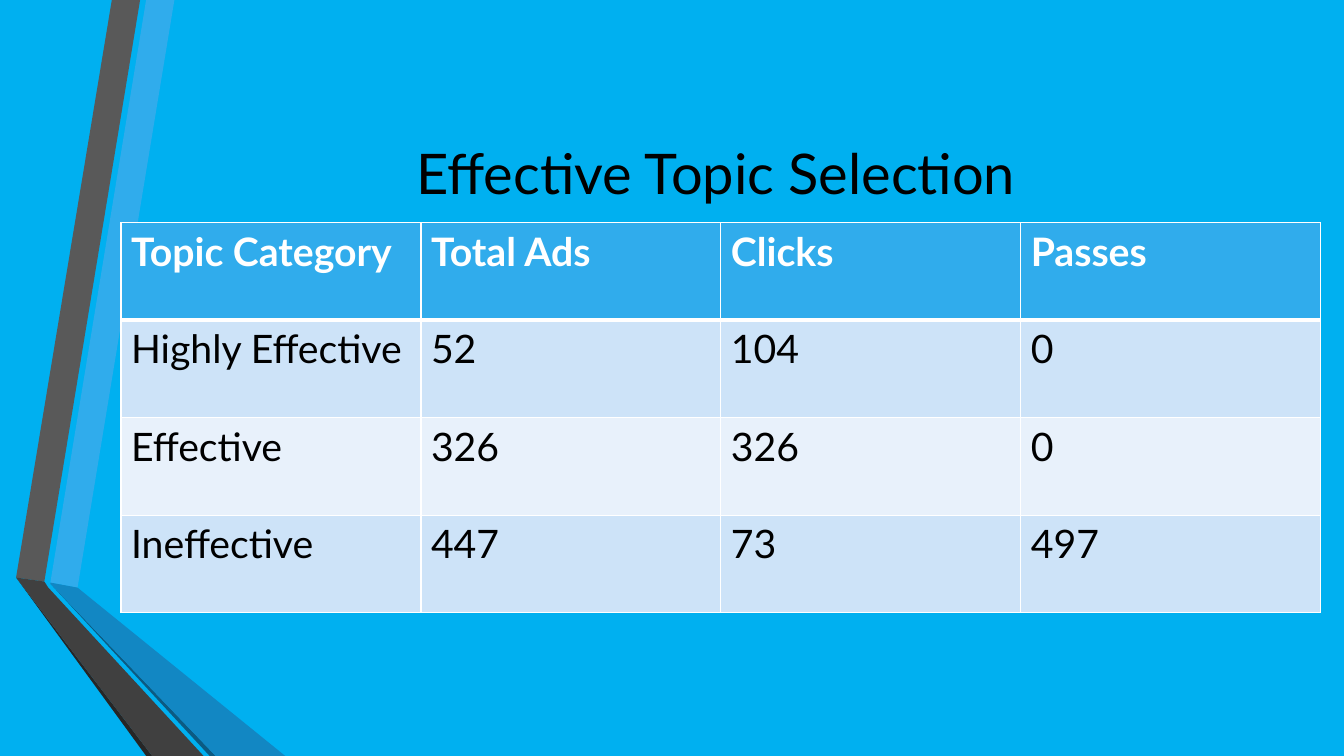
from dataclasses import dataclass

from lxml import etree
from pptx import Presentation
from pptx.dml.color import RGBColor
from pptx.enum.text import MSO_ANCHOR, PP_ALIGN
from pptx.oxml.ns import qn
from pptx.util import Inches, Pt


@dataclass(frozen=True)
class Theme:
    font: str = "Lato"
    background: str = "00B0F0"
    text: str = "000000"
    light: str = "FFFFFF"
    header: str = "30ACEC"
    bands: tuple = ("CDE3F8", "E8F1FB")
    title_size: int = 40
    table_size: int = 28
    border: int = 1
    header_rule: int = 3


THEME = Theme()
TITLE = "Effective Topic Selection"
TITLE_BOX = (1.62, 0.75, 10.96, 1.92)
ROWS = [
    ("Topic Category", "Total Ads", "Clicks", "Passes"),
    ("Highly Effective", "52", "104", "0"),
    ("Effective", "326", "326", "0"),
    ("Ineffective", "447", "73", "497"),
]
TABLE_BOX = (1.2, 2.21, 11.9, 3.87)
RIBBONS = [
    ("30ACEC", [(0.5, 5.78), (0.77, 5.83), (1.73, 0), (1.45, 0)]),
    ("595959", [(1.39, 0), (1.11, 0), (0.16, 5.73), (0.44, 5.77)]),
    ("262626", [(0.16, 5.73), (1.45, 7.5), (1.51, 7.5)]),
    ("0C5A82", [(0.5, 5.79), (2.08, 7.5), (2.14, 7.5)]),
    ("1287C3", [(0.5, 5.79), (2.14, 7.5), (2.83, 7.5), (0.77, 5.83), (0.5, 5.78)]),
    ("404040", [(2.02, 7.5), (0.48, 5.83), (0.44, 5.77), (0.16, 5.73), (1.51, 7.5)]),
]


def rgb(value):
    return RGBColor.from_string(value)


def inches(values):
    return [Inches(value) for value in values]


def style_text(frame, size, color, bold=False, align=PP_ALIGN.LEFT):
    paragraph = frame.paragraphs[0]
    paragraph.alignment = align
    font = paragraph.runs[0].font
    font.name, font.size, font.bold = THEME.font, Pt(size), bold
    font.color.rgb = rgb(color)


def add_ribbon(slide, color, points):
    start, *rest = [inches(point) for point in points]
    builder = slide.shapes.build_freeform(*start)
    builder.add_line_segments(rest, close=True)
    ribbon = builder.convert_to_shape()
    ribbon.shadow.inherit = False
    ribbon.fill.solid()
    ribbon.fill.fore_color.rgb = rgb(color)
    ribbon.line.fill.background()


def set_borders(cell, widths):
    properties = cell._tc.get_or_add_tcPr()
    for index, (side, width) in enumerate(widths.items()):
        line = etree.Element(qn(f"a:ln{side}"), w=str(Pt(width)))
        fill = etree.SubElement(line, qn("a:solidFill"))
        etree.SubElement(fill, qn("a:srgbClr"), val=THEME.light)
        properties.insert(index, line)


def add_results_table(slide):
    table = slide.shapes.add_table(len(ROWS), len(ROWS[0]), *inches(TABLE_BOX)).table
    for row_index, row in enumerate(ROWS):
        is_header = row_index == 0
        color = THEME.header if is_header else THEME.bands[(row_index - 1) % 2]
        top = THEME.header_rule if row_index == 1 else THEME.border
        bottom = THEME.header_rule if is_header else THEME.border
        for column_index, text in enumerate(row):
            cell = table.cell(row_index, column_index)
            cell.text = text
            cell.fill.solid()
            cell.fill.fore_color.rgb = rgb(color)
            style_text(cell.text_frame, THEME.table_size,
                       THEME.light if is_header else THEME.text, is_header)
            set_borders(cell, {"L": THEME.border, "R": THEME.border, "T": top, "B": bottom})


prs = Presentation()
prs.slide_width, prs.slide_height = Inches(13.33), Inches(7.5)
slide = prs.slides.add_slide(prs.slide_layouts[5])
slide.background.fill.solid()
slide.background.fill.fore_color.rgb = rgb(THEME.background)

for color, points in RIBBONS:
    add_ribbon(slide, color, points)

title = slide.shapes.title
title.left, title.top, title.width, title.height = inches(TITLE_BOX)
title.text_frame.text = TITLE
title.text_frame.vertical_anchor = MSO_ANCHOR.MIDDLE
style_text(title.text_frame, THEME.title_size, THEME.text, align=PP_ALIGN.CENTER)

add_results_table(slide)
prs.save("out.pptx")
